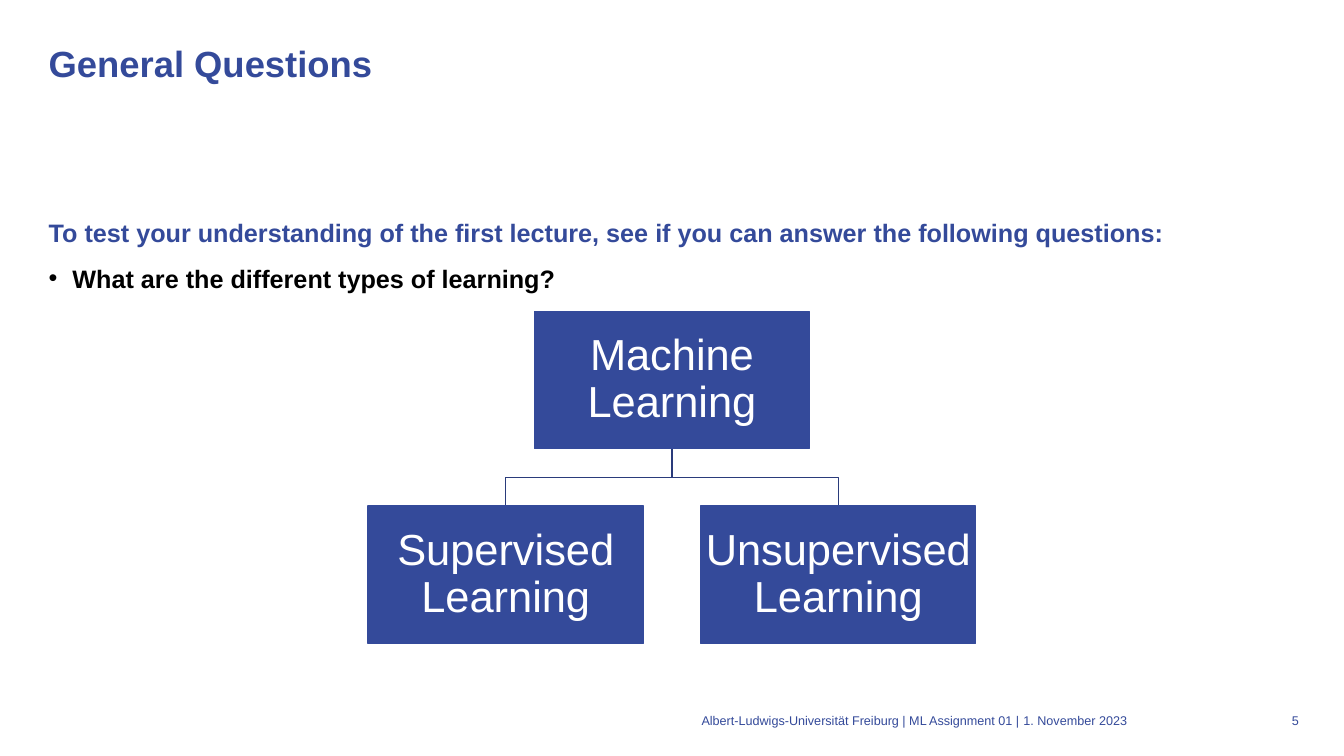
from dataclasses import dataclass

from lxml import etree
from pptx import Presentation
from pptx import util as u
from pptx.dml.color import RGBColor
from pptx.enum import shapes, text
from pptx.oxml.ns import qn


@dataclass(frozen=True)
class Theme:
    font: str = "Arial"
    blue: RGBColor = RGBColor(0x34, 0x4A, 0x9A)
    line: RGBColor = RGBColor(0x2A, 0x3B, 0x7B)
    black: RGBColor = RGBColor(0, 0, 0)
    white: RGBColor = RGBColor(255, 255, 255)
    title: int = 26
    body: int = 18
    node: int = 31
    footer: int = 9


@dataclass(frozen=True)
class Box:
    """A rectangle in points."""
    x: float
    y: float
    w: float
    h: float

    def emu(self):
        return [u.Pt(v) for v in (self.x, self.y, self.w, self.h)]


THEME = Theme()
ALIGN = text.PP_ALIGN


def set_insets(tf, inset):
    tf.word_wrap = True
    tf.margin_left = tf.margin_right = tf.margin_top = tf.margin_bottom = u.Pt(inset)


def style(p, size, color, bold=False, align=ALIGN.LEFT, spacing=None):
    p.alignment = align
    if spacing:
        p.line_spacing = spacing
    for r in p.runs:
        r.font.name = THEME.font
        r.font.size = u.Pt(size)
        r.font.bold = bold
        r.font.color.rgb = color


def add_text(slide, box, content):
    tf = slide.shapes.add_textbox(*box.emu()).text_frame
    set_insets(tf, 0)
    tf.text = content
    return tf


def add_bullet(p, indent):
    pPr = p._p.get_or_add_pPr()
    pPr.set("marL", str(u.Pt(indent)))
    pPr.set("indent", str(-u.Pt(indent)))
    etree.SubElement(pPr, qn("a:buFont")).set("typeface", THEME.font)
    etree.SubElement(pPr, qn("a:buChar")).set("char", "•")


def add_title(slide, box, title):
    tf = add_text(slide, box, title)
    style(tf.paragraphs[0], THEME.title, THEME.blue, True, spacing=u.Pt(32))


def add_body(slide, box, intro, question):
    tf = add_text(slide, box, f"{intro}\n{question}")
    for p, color in zip(tf.paragraphs, (THEME.blue, THEME.black)):
        style(p, THEME.body, color, True, spacing=u.Pt(28))
        p.space_before = u.Pt(5)
    add_bullet(tf.paragraphs[1], 17)


def add_node(slide, box, label):
    sp = slide.shapes.add_shape(shapes.MSO_SHAPE.RECTANGLE, *box.emu())
    sp.shadow.inherit = False
    sp.fill.solid()
    sp.fill.fore_color.rgb = THEME.blue
    sp.line.color.rgb = THEME.blue
    sp.line.width = u.Pt(1)
    tf = sp.text_frame
    set_insets(tf, 1.5)
    tf.vertical_anchor = text.MSO_ANCHOR.MIDDLE
    tf.text = label
    style(tf.paragraphs[0], THEME.node, THEME.white, align=ALIGN.CENTER, spacing=0.9)


def add_branch(slide, parent, child):
    """Draw a right-angled line from the parent's bottom to the child's top."""
    start_x, end_x = (b.x + b.w / 2 for b in (parent, child))
    start_y, end_y = parent.y + parent.h, child.y
    mid_y = (start_y + end_y) / 2
    fb = slide.shapes.build_freeform(u.Pt(start_x), u.Pt(start_y))
    corners = [(start_x, mid_y), (end_x, mid_y), (end_x, end_y)]
    fb.add_line_segments([(u.Pt(x), u.Pt(y)) for x, y in corners], close=False)
    sp = fb.convert_to_shape()
    sp.shadow.inherit = False
    sp.fill.background()
    sp.line.color.rgb = THEME.line
    sp.line.width = u.Pt(1)


def add_tree(slide, box, root, leaves):
    """Centre the root at the top and spread the leaves along the bottom."""
    w, h = 196.5, 98
    step = (box.w - w) / (len(leaves) - 1)
    parent = Box(box.x + (box.w - w) / 2, box.y, w, h)
    children = [Box(box.x + i * step, box.y + box.h - h, w, h) for i in range(len(leaves))]
    for child in children:
        add_branch(slide, parent, child)
    for node, label in zip([parent, *children], [root, *leaves]):
        add_node(slide, node, label)


def add_footer(slide, box, source, date, number):
    date_x, date_w, number_w = 493.25, 113, 28
    parts = [
        (Box(box.x, box.y, date_x, box.h), source, ALIGN.RIGHT),
        (Box(box.x + date_x + 3, box.y, date_w - 3, box.h), date, ALIGN.LEFT),
        (Box(box.x + box.w - number_w, box.y, number_w, box.h), number, ALIGN.RIGHT),
    ]
    for part, content, align in parts:
        tf = add_text(slide, part, content)
        style(tf.paragraphs[0], THEME.footer, THEME.blue, align=align)


def main():
    prs = Presentation()
    prs.slide_width, prs.slide_height = u.Pt(960), u.Pt(540)
    slide = prs.slides.add_slide(prs.slide_layouts[6])
    add_title(slide, Box(34.75, 28.75, 893, 104.5), "General Questions")
    add_body(
        slide, Box(34.75, 148.5, 893, 340),
        "To test your understanding of the first lecture, see if you can answer the following questions:",
        "What are the different types of learning?",
    )
    add_tree(
        slide, Box(263, 222.5, 434, 237),
        "Machine Learning", ["Supervised Learning", "Unsupervised Learning"],
    )
    add_footer(
        slide, Box(234.75, 509, 693, 14.5),
        "Albert-Ludwigs-Universität Freiburg | ML Assignment 01 |", "1. November 2023", "5",
    )
    prs.save("out.pptx")


if __name__ == "__main__":
    main()
